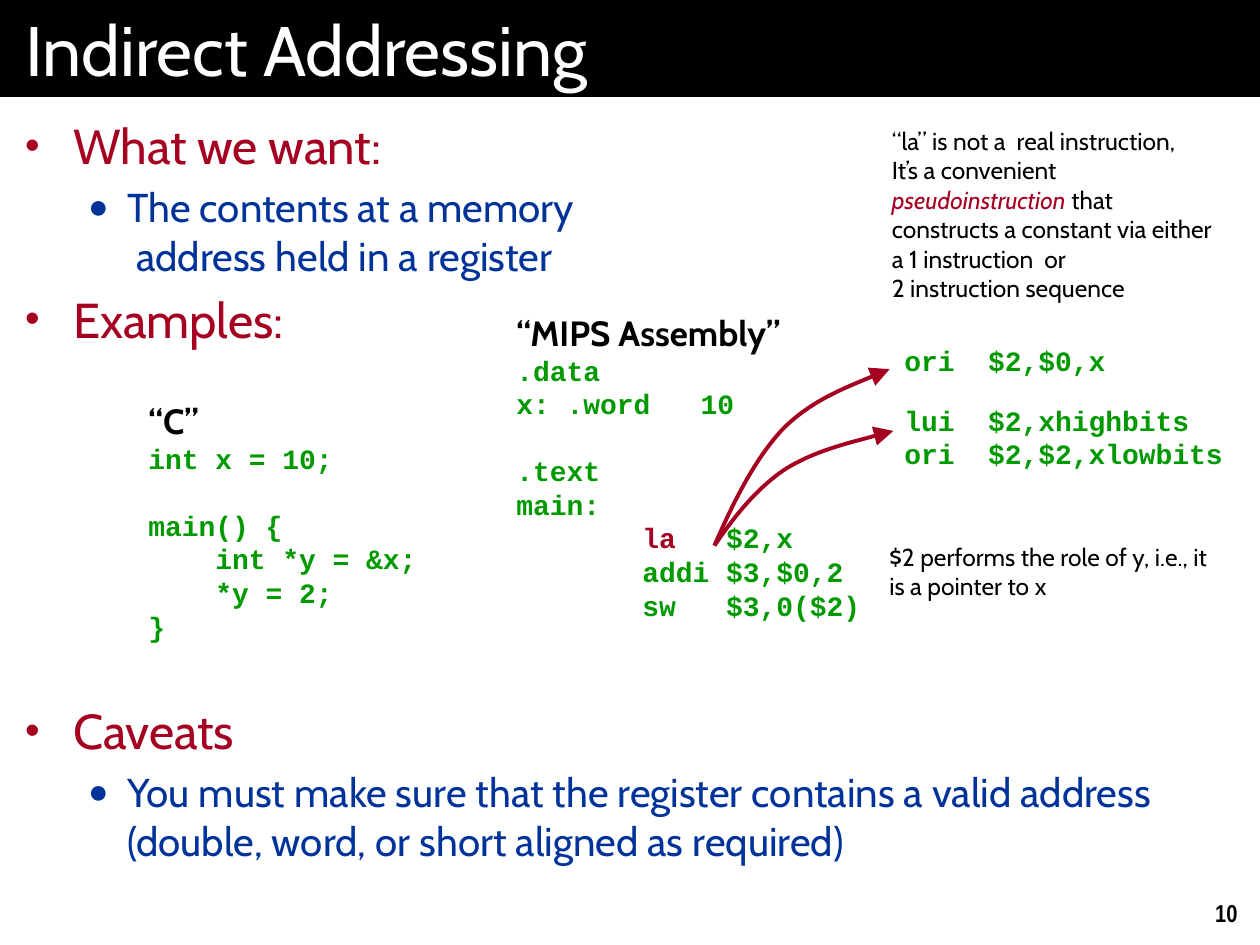
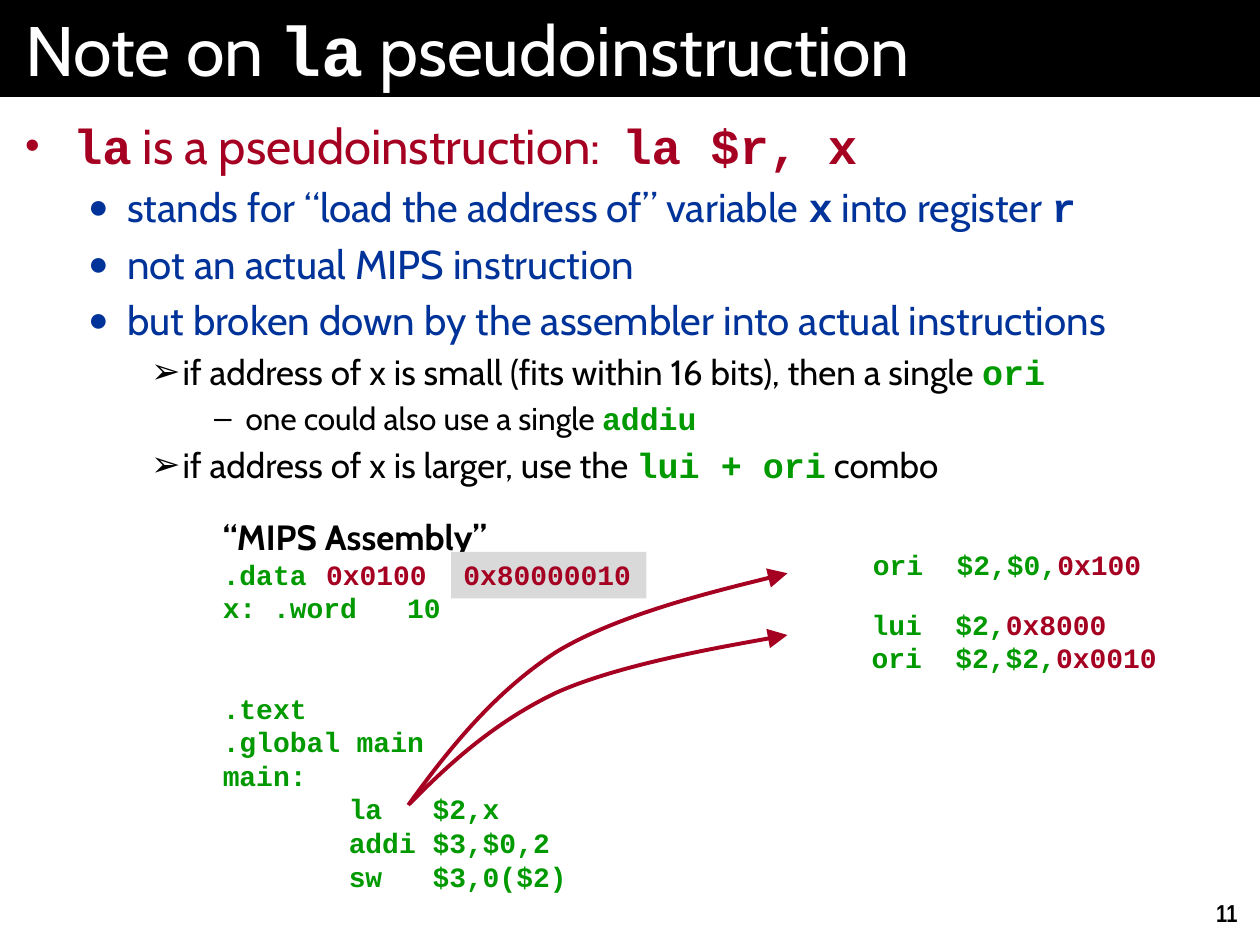
from lxml import etree
from pptx import Presentation
from pptx import util as u
from pptx.dml.color import RGBColor
from pptx.enum import shapes, text
from pptx.oxml import ns

COLORS = {"black": "000000", "white": "FFFFFF", "red": "A50021",
          "blue": "003399", "green": "009900", "grey": "D9D9D9"}

# The slide is a grid of 100 columns by 75 rows
COLS, ROWS = 100, 75
prs = Presentation()
prs.slide_width, prs.slide_height = u.Inches(10), u.Inches(7.5)
COL, ROW = prs.slide_width / COLS, prs.slide_height / ROWS

# Text formats; a run may override any value
TITLE = dict(name="Cabin", size=40, color="white")
HEADING = dict(name="Cabin", size=20, color="black", bold=True)
CODE = dict(name="Courier New", size=16, color="green", bold=True)
NOTE = dict(name="Cabin", size=14, color="black")
NUMBER = dict(name="Arial Narrow", size=14, color="black", bold=True)
MONO = dict(name="Courier New", bold=True)
RED, GREEN_MONO = dict(color="red"), dict(MONO, color="green")
CODE_GAP = 19.1  # points for an empty line of code
CODE_INDENT = 10  # columns

# Outline levels: size, colour, bullet, bullet share, left edge and hang in inches
LEVELS = [(28, "red", "•", 85, 0.38, 0.38), (23, "blue", "●", 85, 0.81, 0.31),
          (20, "black", "➢", 100, 1.25, 0.25), (18, "black", "–", 100, 1.75, 0.25)]

# Arrow curve after its start: control and end points as shares of its box
CURVE = [(0.11, 0.75), (0.23, 0.51), (0.39, 0.34), (0.56, 0.17), (1, 0), (1, 0)]


def rgb(name):
    return RGBColor.from_string(COLORS[name])


def emu(box):
    left, top, width, height = box
    return [round(n) for n in (left * COL, top * ROW, width * COL, height * ROW)]


def add_runs(p, runs, base):
    """Write runs, each a string or a (string, overrides) pair."""
    for run in [runs] if isinstance(runs, str) else runs:
        words, extra = (run, {}) if isinstance(run, str) else run
        fmt = dict(base, **extra)
        for i, line in enumerate(words.split("\n")):
            if i:
                p.add_line_break()
            r = p.add_run()
            r.text = line
            for key, value in fmt.items():
                if key == "color":
                    r.font.color.rgb = rgb(value)
                else:
                    setattr(r.font, key, u.Pt(value) if key == "size" else value)


def fill_frame(sp, paragraphs, wrap=False, margins=(0.1, 0.05),
               anchor=text.MSO_ANCHOR.TOP):
    """Write (runs, base, space before) paragraphs and return them."""
    tf = sp.text_frame
    across, down = (u.Inches(m) for m in margins)
    settings = dict(word_wrap=wrap, vertical_anchor=anchor, margin_left=across,
                    margin_right=across, margin_top=down, margin_bottom=down)
    for key, value in settings.items():
        setattr(tf, key, value)
    for i, (runs, base, before) in enumerate(paragraphs):
        p = tf.add_paragraph() if i else tf.paragraphs[0]
        p.alignment = text.PP_ALIGN.LEFT
        p.space_before = u.Pt(round(before, 1))
        add_runs(p, runs, base)
    return tf.paragraphs


def text_box(s, box, paragraphs, **settings):
    return fill_frame(s.shapes.add_textbox(*emu(box)), paragraphs, **settings)


def filled_rect(s, box, color):
    sp = s.shapes.add_shape(shapes.MSO_SHAPE.RECTANGLE, *emu(box))
    sp.shadow.inherit = False
    sp.fill.solid()
    sp.fill.fore_color.rgb = rgb(color)
    sp.line.fill.background()
    return sp


def title_band(s, box, runs):
    fill_frame(filled_rect(s, box, "black"), [(runs, TITLE, 0)], wrap=True,
               margins=(0.2, 0.05), anchor=text.MSO_ANCHOR.MIDDLE)


def page_number(s, box, number):
    p, = text_box(s, box, [(str(number), NUMBER, 0)], wrap=True)
    p.alignment = text.PP_ALIGN.RIGHT


def set_bullet(p, color, char, share, left, hang):
    pPr = p._p.get_or_add_pPr()
    pPr.set("marL", str(u.Inches(left)))
    pPr.set("indent", str(-u.Inches(hang)))
    clr = etree.SubElement(pPr, ns.qn("a:buClr"))
    etree.SubElement(clr, ns.qn("a:srgbClr"), val=COLORS[color])
    etree.SubElement(pPr, ns.qn("a:buSzPct"), val=str(share * 1000))
    etree.SubElement(pPr, ns.qn("a:buFont"), typeface="Arial")
    etree.SubElement(pPr, ns.qn("a:buChar"), char=char)


def outline(s, box, items):
    """Bulleted text from (level, runs, extra points above) items."""
    paragraphs = []
    for level, runs, extra in items:
        size, color = LEVELS[level][:2]
        base = dict(name="Cabin", size=size, color=color)
        paragraphs.append((runs, base, 0.2 * size + extra))
    written = text_box(s, box, paragraphs, wrap=True, margins=(0.2, 0.15))
    for p, (level, _, _) in zip(written, items):
        set_bullet(p, *LEVELS[level][1:])


def code_block(s, box, lines, heading=None, indented=0):
    """Code lines, the last few indented; an empty line becomes space."""
    paragraphs = [(heading, HEADING, 0)] if heading else []
    gap = 0
    for line in lines:
        if line:
            paragraphs.append((line, CODE, gap))
            gap = 0
        else:
            gap += CODE_GAP
    written = text_box(s, box, paragraphs)
    for p in written[len(written) - indented:]:
        p._p.get_or_add_pPr().set("marL", str(round(CODE_INDENT * COL)))


def curved_arrow(s, box):
    left, top, width, height = emu(box)
    points = [(round(left + x * width), round(top + y * height)) for x, y in CURVE]
    builder = s.shapes.build_freeform(left, top + height)
    builder.add_line_segments(points, close=False)
    sp = builder.convert_to_shape()
    sp.shadow.inherit = False
    sp.fill.background()
    sp.line.color.rgb = rgb("red")
    sp.line.width = u.Pt(2.25)
    etree.SubElement(sp.line._get_or_add_ln(), ns.qn("a:tailEnd"),
                     type="triangle", w="lg", len="lg")
    # Join every three points into one Bézier segment
    segments = sp._element.xpath(".//a:lnTo")
    for i in range(0, len(segments), 3):
        bezier = etree.Element(ns.qn("a:cubicBezTo"))
        segments[i].addprevious(bezier)
        for segment in segments[i:i + 3]:
            bezier.append(segment[0])
            segment.getparent().remove(segment)


def base_slide(title, number, items):
    s = prs.slides.add_slide(prs.slide_layouts[6])
    band = 7.7
    title_band(s, (0, 0, COLS, band), title)
    outline(s, (0, band, COLS, ROWS - band), items)
    page_number(s, (95, 70.8, 4.2, 3.3), number)
    return s


def indirect_addressing():
    s = base_slide("Indirect Addressing", 10, [
        (0, "What we want:", 0),
        (1, "The contents at a memory\n address held in a register", 0),
        (0, "Examples:", 0),
        (0, "Caveats", 196),
        (1, "You must make sure that the register contains a valid address\n"
            "(double, word, or short aligned as required)", 0)])

    # C and assembly side by side
    code_block(s, (10.8, 31.2, 23.6, 20.5), [
        "int x = 10;", "", "main() {", "    int *y = &x;", "    *y = 2;", "}"], "“C”")
    code_block(s, (40, 24.2, 29.6, 25.9), [
        ".data", "x: .word   10", "", ".text", "main:",
        [("la", RED), "   $2,x"], "addi $3,$0,2", "sw   $3,0($2)"],
        "“MIPS Assembly”", indented=3)

    # What la expands to
    code_block(s, (70.8, 31.5, 27.6, 6.4), ["lui  $2,xhighbits", "ori  $2,$2,xlowbits"])
    code_block(s, (70.8, 26.8, 18.2, 3.7), ["ori  $2,$0,x"])
    curved_arrow(s, (56.7, 29.3, 13.9, 14))
    curved_arrow(s, (56.7, 34.2, 14.2, 9.1))

    # Side notes
    text_box(s, (69.8, 9.5, 28.1, 15.1), [
        ("“la” is not a  real instruction,", NOTE, 0),
        (["It’s a convenient ", ("pseudoinstruction ", dict(RED, italic=True)),
          "that constructs a constant via either a 1 instruction  or\n"
          "2 instruction sequence"], NOTE, 0)], wrap=True)
    text_box(s, (69.6, 42.5, 28.1, 5.7), [
        ("$2 performs the role of y, i.e., it is a pointer to x", NOTE, 0)], wrap=True)


def la_pseudoinstruction():
    s = base_slide(["Note on ", ("la", MONO), " pseudoinstruction"], 11, [
        (0, [("la", MONO), " is a pseudoinstruction:  ", ("la $r, x", MONO)], 0),
        (1, ["stands for “load the address of” variable ", ("x", MONO),
             " into register ", ("r", MONO)], 0),
        (1, "not an actual MIPS instruction", 0),
        (1, "but broken down by the assembler into actual instructions", 0),
        (2, ["if address of x is small (fits within 16 bits), then a single ",
             ("ori", GREEN_MONO)], 0),
        (3, ["one could also use a single ", ("addiu", GREEN_MONO)], 0),
        (2, ["if address of x is larger, use the ", ("lui + ori", GREEN_MONO),
             " combo"], 0)])

    # Assembly listing
    code_block(s, (16.7, 40.4, 29.6, 31.3), [
        ".data", "x: .word   10", "", "", ".text", ".global main", "main:",
        "la   $2,x", "addi $3,$0,2", "sw   $3,0($2)"],
        "“MIPS Assembly”", indented=3)

    # What la expands to
    code_block(s, (68.2, 47.7, 24.9, 6.4), [
        ["lui  $2,", ("0x8000", RED)], ["ori  $2,$2,", ("0x0010", RED)]])
    code_block(s, (68.3, 43, 23.6, 3.7), [["ori  $2,$0,", ("0x100", RED)]])
    curved_arrow(s, (32.4, 45.5, 30.1, 18.4))
    curved_arrow(s, (32.5, 50.4, 30, 13.4))

    # Small and large address of x
    code_block(s, (24.9, 43.8, 10.1, 3.7), [[("0x0100", RED)]])
    fill_frame(filled_rect(s, (35.8, 43.8, 15.5, 3.7), "grey"),
               [("0x80000010", dict(CODE, **RED), 0)])


indirect_addressing()
la_pseudoinstruction()
prs.save("out.pptx")
